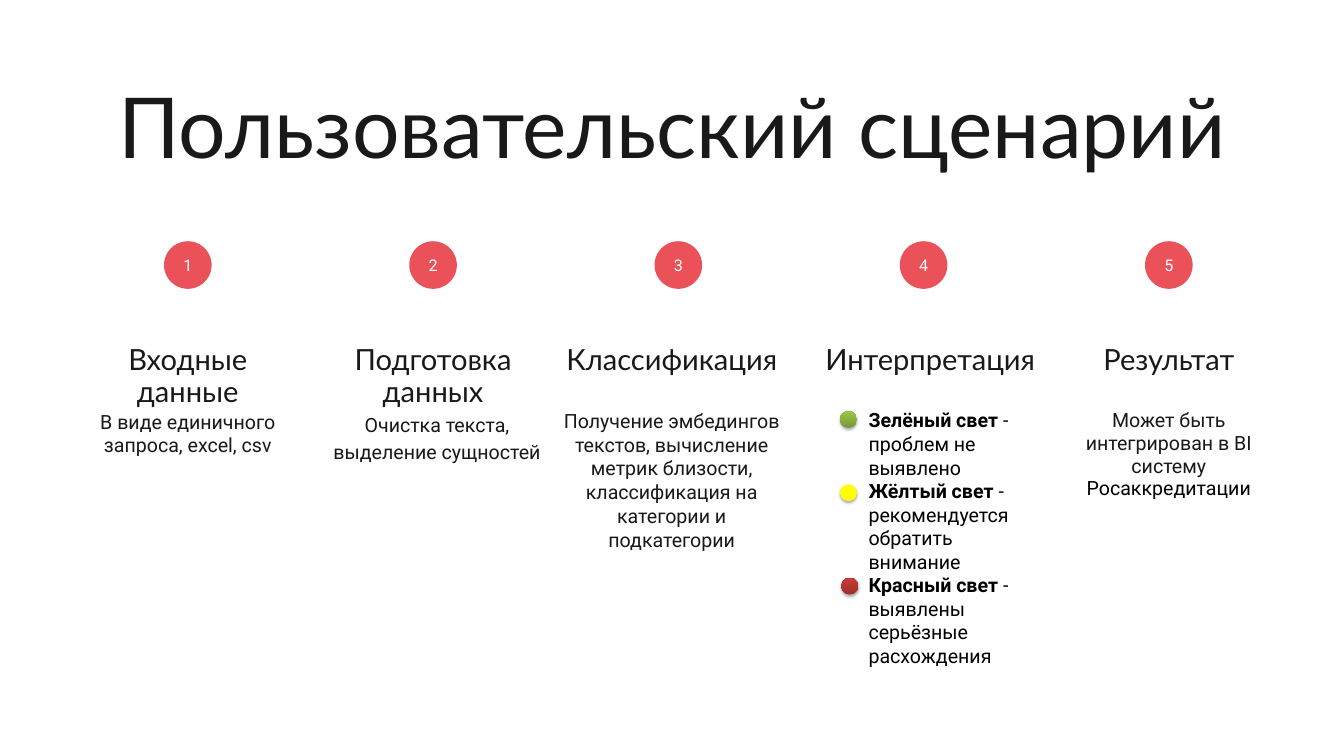
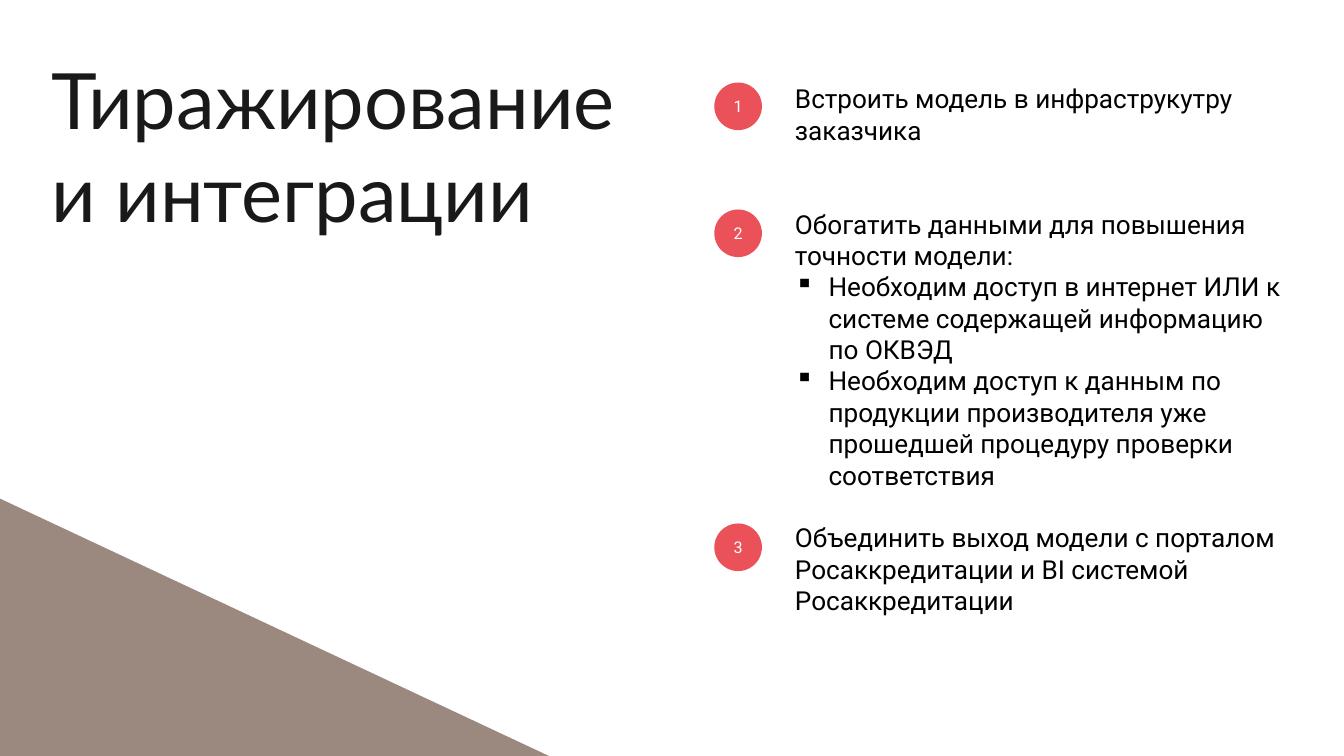
from dataclasses import dataclass

from lxml.etree import SubElement
from pptx import Presentation
from pptx.dml.color import RGBColor
from pptx.enum.shapes import MSO_SHAPE as Shape
from pptx.enum.text import MSO_ANCHOR as Anchor, MSO_AUTO_SIZE as AutoSize, PP_ALIGN as Align
from pptx.oxml.ns import qn
from pptx.util import Cm, Pt

# Shared style
INK, BLACK, WHITE = "191919", "000000", "FFFFFF"
CORAL, TAUPE = "EA5158", "9B897F"
HEAD_FONT, BODY_FONT = "Lato", "Roboto"
BADGE = 1.8


def color(hex_value):
    return RGBColor.from_string(hex_value)


@dataclass
class Para:
    """Runs are (text, bold, colour); lengths are cm, spacing is points."""
    runs: list
    align: Align = Align.LEFT
    line: float = None
    before: float = 0
    margin: float = 0
    hanging: float = 0
    bullet: str = None


class Deck:
    def __init__(self, width, height):
        self.prs = Presentation()
        self.prs.slide_width, self.prs.slide_height = Cm(width), Cm(height)
        self.slide = None

    def new_slide(self, title, box, size, line, align):
        self.slide = self.prs.slides.add_slide(self.prs.slide_layouts[5])
        heading = self.slide.shapes.title
        heading.left, heading.top, heading.width, heading.height = map(Cm, box)
        self.fill_text(heading, [Para([(title, False, INK)], align, line)], HEAD_FONT, size)

    def fill_text(self, shape, paras, font, size, anchor=Anchor.TOP):
        frame = shape.text_frame
        frame.word_wrap = True
        frame.auto_size = AutoSize.NONE
        frame.vertical_anchor = anchor
        frame.margin_left = frame.margin_right = frame.margin_top = frame.margin_bottom = 0
        for i, para in enumerate(paras):
            p = frame.add_paragraph() if i else frame.paragraphs[0]
            p.alignment = para.align
            p.space_before = Pt(para.before)
            if para.line:
                p.line_spacing = Pt(para.line)
            if para.margin:
                props = p._p.get_or_add_pPr()
                props.set("marL", str(Cm(para.margin)))
                props.set("indent", str(Cm(-para.hanging)))
                if para.bullet:
                    SubElement(props, qn("a:buChar")).set("char", para.bullet)
            for text, bold, ink in para.runs:
                run = p.add_run()
                run.text = text
                run.font.name, run.font.size, run.font.bold = font, Pt(size), bold
                run.font.color.rgb = color(ink)

    def text(self, box, paras, font, size):
        self.fill_text(self.slide.shapes.add_textbox(*map(Cm, box)), paras, font, size)

    def shape(self, kind, box, fill):
        item = self.slide.shapes.add_shape(kind, *map(Cm, box))
        item.shadow.inherit = False
        item.fill.solid()
        item.fill.fore_color.rgb = color(fill)
        item.line.fill.background()
        return item

    def badge(self, number, left, top):
        circle = self.shape(Shape.OVAL, (left, top, BADGE, BADGE), CORAL)
        label = Para([(str(number), False, WHITE)], Align.CENTER, 20.7)
        self.fill_text(circle, [label], BODY_FONT, 17.3, Anchor.MIDDLE)

    def light(self, left, top, bottom_hex, top_hex):
        lamp = self.shape(Shape.OVAL, (left, top, 0.64, 0.64), top_hex)
        if bottom_hex != top_hex:
            lamp.fill.gradient()
            lamp.fill.gradient_angle = 90
            for stop, shade in zip(lamp.fill.gradient_stops, (bottom_hex, top_hex)):
                stop.color.rgb = color(shade)
        # Soft shadow below the lamp
        effects = lamp._element.spPr.find(qn("a:effectLst"))
        shadow = SubElement(effects, qn("a:outerShdw"), blurRad=str(Pt(3.1)),
                            dist=str(Pt(1.8)), dir="5400000", rotWithShape="0")
        black = SubElement(shadow, qn("a:srgbClr"), val=BLACK)
        SubElement(black, qn("a:alpha"), val="35000")


def scenario(deck):
    deck.new_slide("Пользовательский сценарий", (3.58, 2.82, 43.64, 3.84), 90, 108, Align.CENTER)

    def centred(line, *runs):
        return [Para(list(runs), Align.CENTER, line)]

    def verdict(signal, meaning):
        return Para([(signal + " ", True, BLACK), (meaning, False, BLACK)], margin=2.06)

    # Heading, column width, heading shift, body shift, body top, body
    steps = [
        ("Входные данные", 7.98, 0, 0, 15.54,
         centred(24.5, ("В виде единичного запроса, excel, csv", False, INK))),
        ("Подготовка данных", 7.98, 0, 0.15, 15.44,
         centred(29.7, ("Очистка текста, выделение сущностей", False, INK))),
        ("Классификация", 8.48, -0.25, -0.25, 15.44,
         centred(25.5, ("Получение эмбедингов текстов, вычисление метрик близости, "
                        "классификация на категории и подкатегории", False, INK))),
        ("Интерпретация", 8.48, 0.25, 0.1, 15.44,
         [verdict("Зелёный свет", "- проблем не выявлено"),
          verdict("Жёлтый свет", "- рекомендуется обратить внимание"),
          verdict("Красный свет", "- выявлены серьёзные расхождения")]),
        ("Результат", 7.98, 0, 0, 15.44,
         centred(24.5, ("Может быть интегрирован в BI систему ", False, INK),
                 ("Росаккредитации", False, BLACK))),
    ]
    first_centre, pitch = 7.1, 9.27
    for i, (heading, width, shift, body_shift, body_top, body) in enumerate(steps):
        centre = first_centre + i * pitch
        left = centre - width / 2
        deck.badge(i + 1, centre - BADGE / 2, 9.12)
        deck.text((left + shift, 13, width, 2.4), centred(34.4, (heading, False, INK)),
                  HEAD_FONT, 31.2)
        deck.text((left + body_shift, body_top, width, 9.9), body, BODY_FONT, 21)

    # Traffic lights
    for left, top, bottom_hex, top_hex in [(31.75, 15.54, "779737", "9DC746"),
                                           (31.75, 18.31, "FFFF00", "FFFF00"),
                                           (31.8, 21.84, "9C2F2D", "CE3B37")]:
        deck.light(left, top, bottom_hex, top_hex)


def rollout(deck):
    deck.new_slide("Тиражирование и интеграции", (1.93, 1.96, 23.39, 6.86), 83.2, 99.9, Align.LEFT)

    # Corner wedge
    deck.shape(Shape.RIGHT_TRIANGLE, (0, 18.85, 20.75, 9.73), TAUPE)

    # Plan
    row = 33.6

    def step(text, gap_rows=0):
        return Para([(text, False, BLACK)], before=gap_rows * row)

    def need(text):
        return Para([(text, False, BLACK)], margin=1.27, hanging=1.27, bullet="▪")

    plan = [
        step("Встроить модель в инфраструкутру заказчика"),
        step("Обогатить данными для повышения точности модели:", 2),
        need("Необходим доступ в интернет ИЛИ к системе содержащей информацию по ОКВЭД"),
        need("Необходим доступ к данным по продукции производителя уже прошедшей "
             "процедуру проверки соответствия"),
        step("Объединить выход модели с порталом Росаккредитации и BI системой "
             "Росаккредитации", 1),
    ]
    deck.text((30.05, 3.12, 18.64, 20.35), plan, BODY_FONT, 28)
    for number, top in enumerate((3.12, 7.92, 19.79), 1):
        deck.badge(number, 27, top)


def main():
    deck = Deck(50.8, 28.58)
    scenario(deck)
    rollout(deck)
    deck.prs.save("out.pptx")


if __name__ == "__main__":
    main()
